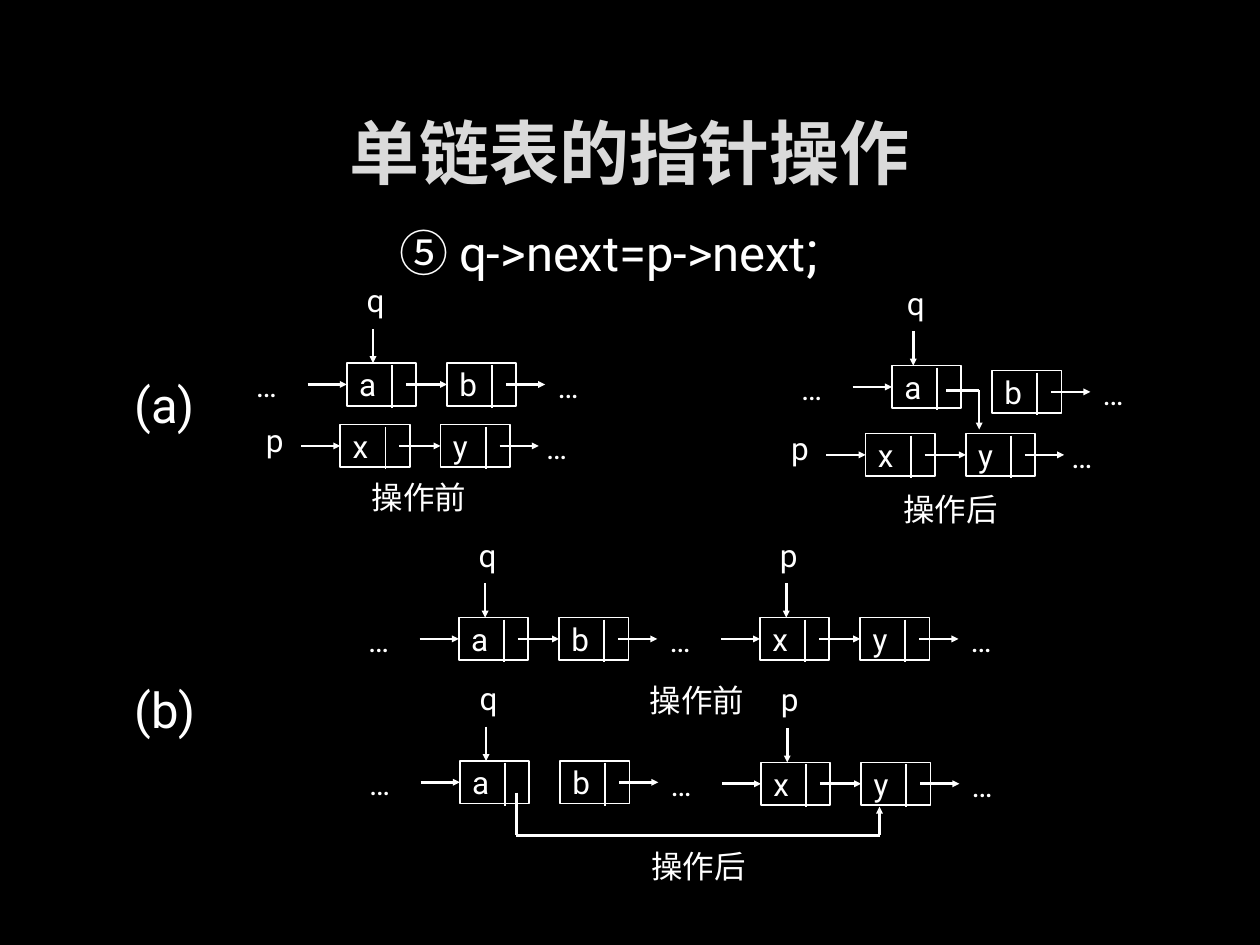
from dataclasses import dataclass

from lxml.etree import SubElement
from pptx import Presentation
from pptx.dml.color import RGBColor
from pptx.enum.shapes import MSO_CONNECTOR, MSO_SHAPE
from pptx.enum.text import MSO_ANCHOR, PP_ALIGN
from pptx.oxml import parse_xml
from pptx.oxml.ns import nsdecls, qn
from pptx.util import Cm, Pt

WHITE = "FFFFFF"
LATIN = "Roboto"
HAN = "Noto Sans CJK SC"


@dataclass
class Chain:
    """A row of two list nodes; lengths in cm."""
    left: float
    top: float
    nodes: str
    entry: str = "…"
    pointer: str = ""
    pointer_offset: float = 0.53
    linked: bool = True
    drop: float = 0  # how far the second node sits below the first
    tail_gap: float = 0.58


TITLE = "单链表的指针操作"
FORMULA = [("⑤ ", HAN, 28), ("q->next=p->next", LATIN, 28), (";", LATIN, 32)]
CASES = [("(a)", 2.46, 7.57), ("(b)", 2.46, 13.72)]
CAPTIONS = [("操作前", 7.24, 9.5), ("操作后", 17.96, 9.75),
            ("操作前", 12.85, 13.61), ("操作后", 12.88, 16.94)]
CHAINS = [
    Chain(6.99, 7.32, "ab", pointer="q"),
    Chain(6.86, 8.56, "xy", entry="p", tail_gap=0.48),
    Chain(17.98, 7.37, "ab", pointer="q", pointer_offset=0.43,
          linked=False, drop=0.1),
    Chain(17.45, 8.74, "xy", entry="p", tail_gap=0.48),
    Chain(9.25, 12.45, "ab", pointer="q"),
    Chain(15.32, 12.45, "xy", entry="", pointer="p"),
    Chain(9.27, 15.34, "ab", pointer="q", linked=False),
    Chain(15.34, 15.37, "xy", entry="", pointer="p"),
]
NEW_LINKS = [
    [(19.08, 7.87), (19.74, 7.87), (19.74, 8.66)],
    [(10.41, 15.98), (10.41, 16.84), (17.73, 16.84), (17.73, 16.26)],
]

NODE_W, NODE_H, NODE_STEP = 1.4, 0.86, 2.02
DIVIDER, LINK_START, ARROW = 0.91, 1.19, 0.79
POINTER_SIZE, DOTS_SIZE = (0.89, 0.86), (1.09, 0.86)
CASE_SIZE, CAPTION_SIZE = (1.9, 1.14), (2.95, 1.02)


def rgb(color):
    return RGBColor.from_string(color)


def format_run(run, font, size, color=WHITE):
    run.font.name = font
    run.font.size = Pt(size)
    run.font.color.rgb = rgb(color)
    SubElement(run.font._element, qn("a:ea")).set("typeface", font)


def format_frame(frame, size):
    frame.word_wrap = False
    frame.vertical_anchor = MSO_ANCHOR.MIDDLE
    frame.paragraphs[0].alignment = PP_ALIGN.LEFT
    for run in frame.paragraphs[0].runs:
        format_run(run, LATIN, size)


def add_label(slide, text, left, top, size, points=18):
    label = slide.shapes.add_textbox(Cm(left), Cm(top), *map(Cm, size))
    label.text_frame.text = text
    format_frame(label.text_frame, points)
    return label


def add_line(slide, start, end, width=1.5, arrow=True):
    line = slide.shapes.add_connector(
        MSO_CONNECTOR.STRAIGHT, *map(Cm, (*start, *end)))
    line.line.color.rgb = rgb(WHITE)
    line.line.width = Pt(width)
    if arrow:
        tail = SubElement(line.line._get_or_add_ln(), qn("a:tailEnd"))
        tail.set("type", "triangle")
        tail.set("w", "sm")
        tail.set("len", "sm")
    SubElement(line._element.spPr, qn("a:effectLst"))
    return line


def add_node(slide, name, left, top):
    node = slide.shapes.add_shape(
        MSO_SHAPE.RECTANGLE, *map(Cm, (left, top, NODE_W, NODE_H)))
    node.shadow.inherit = False
    node.fill.background()
    node.line.color.rgb = rgb(WHITE)
    node.line.width = Pt(1)
    node.text_frame.text = name
    format_frame(node.text_frame, 18)
    x = left + DIVIDER
    add_line(slide, (x, top + 0.04), (x, top + 0.9), 1, arrow=False)
    return node


def add_chain(slide, chain):
    left, top = chain.left, chain.top
    second_left, second_top = left + NODE_STEP, top + chain.drop
    first = add_node(slide, chain.nodes[0], left, top)
    second = add_node(slide, chain.nodes[1], second_left, second_top)
    middle, second_middle = top + NODE_H / 2, second_top + NODE_H / 2

    entry = add_line(slide, (left - ARROW, middle), (left, middle))
    entry.end_connect(first, 1)
    if chain.entry == "…":
        add_label(slide, "…", left - 2.08, top + 0.02, DOTS_SIZE)
    elif chain.entry:
        add_label(slide, chain.entry, left - 1.75, top - 0.13, POINTER_SIZE)

    if chain.linked:
        link = add_line(slide, (left + LINK_START, middle),
                        (second_left, second_middle))
        link.end_connect(second, 1)
    exit_x = second_left + LINK_START
    add_line(slide, (exit_x, second_middle), (exit_x + ARROW, second_middle))
    add_label(slide, "…", second_left + NODE_W + chain.tail_gap,
              second_top + 0.03, DOTS_SIZE)

    if chain.pointer:
        x = left + chain.pointer_offset
        add_label(slide, chain.pointer, x - 0.38, top - 1.7, POINTER_SIZE)
        add_line(slide, (x, top - 0.69), (x, top))


def add_title(slide):
    title = slide.shapes.title
    title.left, title.top, title.width, title.height = map(
        Cm, (1.91, 1.7, 21.56, 2.69))
    title.text_frame.text = TITLE
    title.text_frame.vertical_anchor = MSO_ANCHOR.MIDDLE
    paragraph = title.text_frame.paragraphs[0]
    paragraph.alignment = PP_ALIGN.CENTER
    run = paragraph.runs[0]
    format_run(run, HAN, 40, "DADADA")
    run.font.bold = True
    run.font._element.insert(0, parse_xml(
        f'<a:ln {nsdecls("a")} w="9525"><a:solidFill><a:srgbClr val="404040">'
        '<a:alpha val="10000"/></a:srgbClr></a:solidFill></a:ln>'))


def add_formula(slide):
    formula = add_label(slide, "", 7.8, 4.39, (8.94, 1.27))
    for text, font, size in FORMULA:
        run = formula.text_frame.paragraphs[0].add_run()
        run.text = text
        format_run(run, font, size)


def main():
    deck = Presentation()
    deck.slide_width, deck.slide_height = Cm(25.4), Cm(19.05)
    slide = deck.slides.add_slide(deck.slide_layouts[5])
    slide.background.fill.solid()
    slide.background.fill.fore_color.rgb = rgb("000000")

    add_title(slide)
    add_formula(slide)
    for text, left, top in CASES:
        add_label(slide, text, left, top, CASE_SIZE, 28)
    for chain in CHAINS:
        add_chain(slide, chain)
    for points in NEW_LINKS:
        for start, end in zip(points, points[1:]):
            add_line(slide, start, end, arrow=end == points[-1])
    for text, left, top in CAPTIONS:
        add_label(slide, text, left, top, CAPTION_SIZE)
    deck.save("out.pptx")


if __name__ == "__main__":
    main()
